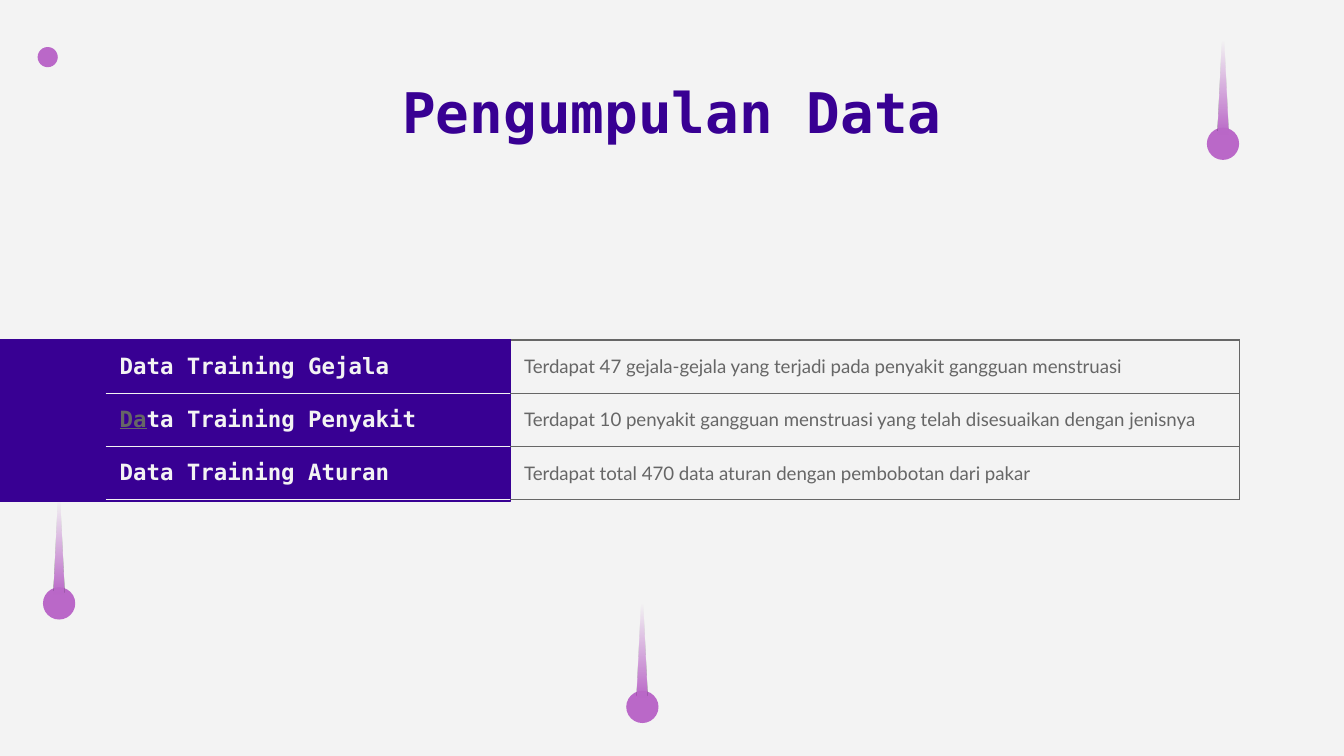
from lxml import etree
from pptx import Presentation
from pptx.dml.color import RGBColor
from pptx.enum.shapes import MSO_SHAPE
from pptx.enum.text import MSO_ANCHOR, MSO_AUTO_SIZE, PP_ALIGN
from pptx.oxml.ns import qn
from pptx.util import Inches, Pt

BACKGROUND = RGBColor(0xF3, 0xF3, 0xF3)
PURPLE = RGBColor(0x38, 0x00, 0x93)
LILAC = RGBColor(0xBA, 0x68, 0xC8)
GRAY = RGBColor(0x66, 0x66, 0x66)
HEADING_FONT = "DejaVu Sans Mono"
BODY_FONT = "Lato"
SLIDE_WIDTH = 10
SLIDE_HEIGHT = SLIDE_WIDTH * 9 / 16
MARGIN = Inches(0.1)
ROW_HEIGHT = 0.38
COLUMN_WIDTHS = (3.01, 5.42)
ROWS = [
    ([("Data Training Gejala", BACKGROUND, False)],
     "Terdapat 47 gejala-gejala yang terjadi pada penyakit gangguan menstruasi"),
    ([("Da", GRAY, True), ("ta Training Penyakit", BACKGROUND, False)],
     "Terdapat 10 penyakit gangguan menstruasi yang telah disesuaikan dengan jenisnya"),
    ([("Data Training Aturan", BACKGROUND, False)],
     "Terdapat total 470 data aturan dengan pembobotan dari pakar"),
]
COMETS = [(4.66, 4.32), (8.98, 0.13), (0.32, 3.55)]


def add_run(paragraph, text, font, size, color, bold=False, underline=False):
    run = paragraph.add_run()
    run.text = text
    run.font.name = font
    run.font.size = Pt(size)
    run.font.color.rgb = color
    run.font.bold = bold
    run.font.underline = underline


def add_plain_shape(slide, kind, left, top, width, height, color):
    shape = slide.shapes.add_shape(
        kind, Inches(left), Inches(top), Inches(width), Inches(height))
    shape.shadow.inherit = False
    shape.fill.solid()
    shape.fill.fore_color.rgb = color
    shape.line.fill.background()
    return shape


def fade_out(shape, color):
    shape.fill.gradient()
    shape.fill.gradient_angle = 90
    stops = shape.element.spPr.find(qn("a:gradFill")).find(qn("a:gsLst"))
    for stop in list(stops):
        stops.remove(stop)
    for position, opacity in ((0, 100), (80, 0), (100, 0)):
        stop = etree.SubElement(stops, qn("a:gs"), pos=str(position * 1000))
        value = etree.SubElement(stop, qn("a:srgbClr"), val=str(color))
        etree.SubElement(value, qn("a:alpha"), val=str(opacity * 1000))


def add_comet(slide, left, top):
    add_plain_shape(slide, MSO_SHAPE.OVAL, left, top + 0.82, 0.24, 0.24, LILAC)
    tail = add_plain_shape(
        slide, MSO_SHAPE.ISOSCELES_TRIANGLE, left + 0.08, top, 0.08, 0.87, LILAC)
    fade_out(tail, LILAC)


def set_title(slide):
    title = slide.shapes.title
    title.left, title.top = Inches(0.78), Inches(0.59)
    title.width, title.height = Inches(8.44), Inches(0.59)
    frame = title.text_frame
    frame.word_wrap = True
    frame.auto_size = MSO_AUTO_SIZE.NONE
    frame.vertical_anchor = MSO_ANCHOR.BOTTOM
    frame.margin_left = frame.margin_right = MARGIN
    frame.margin_top = frame.margin_bottom = MARGIN
    paragraph = frame.paragraphs[0]
    paragraph.alignment = PP_ALIGN.CENTER
    add_run(paragraph, "Pengumpulan Data", HEADING_FONT, 30, PURPLE, bold=True)


def set_borders(cell, left, right, top, bottom):
    properties = cell._tc.get_or_add_tcPr()
    for side, color in zip("LRTB", (left, right, top, bottom)):
        line = etree.SubElement(properties, qn(f"a:ln{side}"), w=str(Pt(0.75)))
        fill = etree.SubElement(line, qn("a:solidFill"))
        etree.SubElement(fill, qn("a:srgbClr"), val=str(color))


def format_cell(cell):
    cell.vertical_anchor = MSO_ANCHOR.MIDDLE
    cell.margin_left = cell.margin_right = MARGIN
    cell.margin_top = cell.margin_bottom = MARGIN


def add_data_table(slide):
    table = slide.shapes.add_table(
        len(ROWS), len(COLUMN_WIDTHS), Inches(0.79), Inches(2.53),
        Inches(sum(COLUMN_WIDTHS)), Inches(ROW_HEIGHT * len(ROWS))).table
    table.first_row = False
    table.horz_banding = False
    for column, width in zip(table.columns, COLUMN_WIDTHS):
        column.width = Inches(width)
    for index, (heading_runs, description) in enumerate(ROWS):
        table.rows[index].height = Inches(ROW_HEIGHT)
        heading, detail = table.cell(index, 0), table.cell(index, 1)
        for cell in (heading, detail):
            format_cell(cell)

        set_borders(heading, PURPLE, PURPLE, BACKGROUND if index else PURPLE, BACKGROUND)
        heading.fill.solid()
        heading.fill.fore_color.rgb = PURPLE
        for text, color, underline in heading_runs:
            add_run(heading.text_frame.paragraphs[0], text, HEADING_FONT, 12,
                    color, bold=True, underline=underline)

        set_borders(detail, PURPLE, GRAY, GRAY, GRAY)
        detail.fill.background()
        paragraph = detail.text_frame.paragraphs[0]
        paragraph.space_after = Pt(16)
        add_run(paragraph, description, BODY_FONT, 10, GRAY)


def main():
    presentation = Presentation()
    presentation.slide_width = Inches(SLIDE_WIDTH)
    presentation.slide_height = Inches(SLIDE_HEIGHT)
    slide = presentation.slides.add_slide(presentation.slide_layouts[5])
    slide.background.fill.solid()
    slide.background.fill.fore_color.rgb = BACKGROUND

    add_plain_shape(slide, MSO_SHAPE.OVAL, 0.28, 0.35, 0.15, 0.15, LILAC)
    band = add_plain_shape(slide, MSO_SHAPE.RECTANGLE, 0, 2.53, 3.8, 1.2, PURPLE)
    band.line.color.rgb = PURPLE
    band.line.width = Pt(0.75)
    set_title(slide)
    add_data_table(slide)
    for left, top in COMETS:
        add_comet(slide, left, top)
    presentation.save("out.pptx")


if __name__ == "__main__":
    main()
